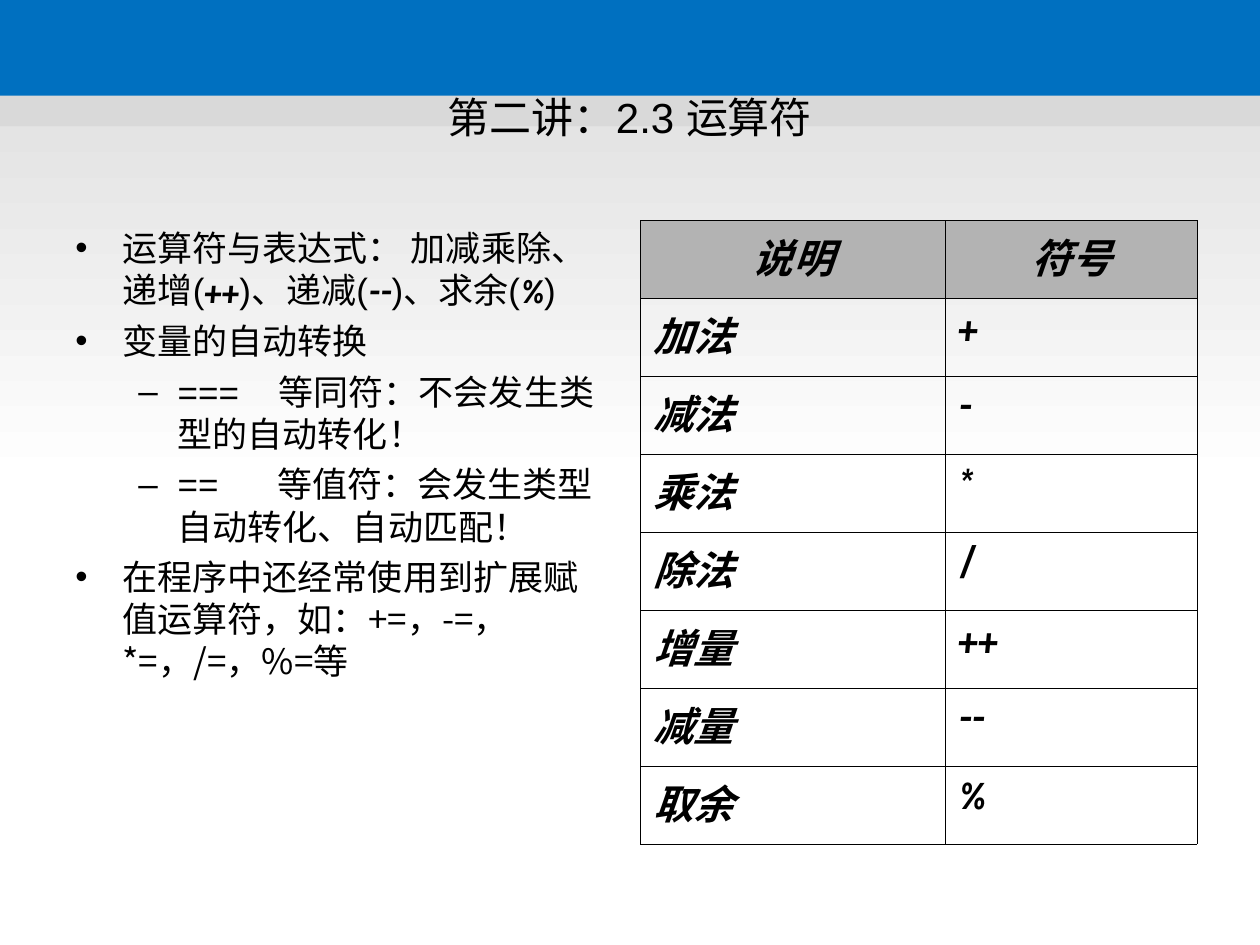
from lxml import etree
from pptx import Presentation
from pptx.dml.color import RGBColor
from pptx.enum import shapes, text
from pptx.oxml import ns
from pptx.util import Pt

BLACK = RGBColor(0, 0, 0)
WHITE = RGBColor(255, 255, 255)
BLUE = RGBColor(0x00, 0x70, 0xC0)
PALE = RGBColor(0xD9, 0xD9, 0xD9)
GRAY = RGBColor(0xB3, 0xB3, 0xB3)
CJK = "Noto Sans CJK JP"


def add_span(para, words, size, font="Arial", strong=False, spacing=0):
    span = para.add_run()
    span.text = words
    span.font.size = Pt(size)
    span.font.name = font
    span.font.bold = span.font.italic = strong
    span.font.color.rgb = BLACK
    properties = span.font._element
    latin = properties.find(ns.qn("a:latin"))
    east_asian = etree.Element(ns.qn("a:ea"), typeface=CJK)
    latin.addnext(east_asian)
    if spacing:
        properties.set("spc", str(spacing * 100))


def add_box(left, top, width, height, anchor):
    box = page.shapes.add_textbox(Pt(left), Pt(top), Pt(width), Pt(height))
    box.text_frame.word_wrap = True
    box.text_frame.vertical_anchor = anchor
    return box.text_frame


deck = Presentation()
deck.slide_width, deck.slide_height = Pt(720), Pt(540)
page = deck.slides.add_slide(deck.slide_layouts[6])
page.background.fill.solid()
page.background.fill.fore_color.rgb = WHITE

for top, height, color in [(0, 275.8, None), (54.7, 17.3, PALE), (0, 54.7, BLUE)]:
    band = page.shapes.add_shape(
        shapes.MSO_SHAPE.RECTANGLE, Pt(0), Pt(top), Pt(720), Pt(height))
    band.shadow.inherit = False
    band.line.fill.background()
    if color is None:
        band.fill.gradient()
        band.fill.gradient_angle = 270
        for stop, shade, position in zip(band.fill.gradient_stops, (PALE, WHITE), (0, 1)):
            stop.color.rgb = shade
            stop.position = position
    else:
        band.fill.solid()
        band.fill.fore_color.rgb = color

title = add_box(36, 21.6, 648, 90, text.MSO_ANCHOR.MIDDLE).paragraphs[0]
title.alignment = text.PP_ALIGN.CENTER
add_span(title, "第二讲：2.3 运算符", 24)

STRONG = {"font": "Karla", "strong": True}
points = [
    (0, [("运算符与表达式： 加减乘除、递增(", {}), ("++", STRONG), (")、递减(", {}),
         ("--", STRONG), (")、求余(", {}), ("%", STRONG), (")", {})]),
    (0, [("变量的自动转换", {})]),
    (1, [("===", {}), (" ", {"spacing": 17}), ("等同符：不会发生类型的自动转化！", {})]),
    (1, [("==", {}), (" ", {"spacing": 28}), ("等值符：会发生类型自动转化、自动匹配！", {})]),
    (0, [("在程序中还经常使用到扩展赋值运算符，如：+=，-=，*=，/=，%=等", {"font": CJK})]),
]
bullets = [("•", 27, -27), ("–", 58.5, -22.5)]
body = add_box(36, 126, 318, 356.4, text.MSO_ANCHOR.TOP)
for index, (level, spans) in enumerate(points):
    para = body.add_paragraph() if index else body.paragraphs[0]
    para.level = level
    para.space_before = Pt(5)
    for words, style in spans:
        add_span(para, words, 20, **style)
    mark, margin, indent = bullets[level]
    properties = para._p.get_or_add_pPr()
    properties.set("marL", str(Pt(margin)))
    properties.set("indent", str(Pt(indent)))
    color = etree.SubElement(properties, ns.qn("a:buClr"))
    etree.SubElement(color, ns.qn("a:srgbClr"), val=str(BLACK))
    etree.SubElement(properties, ns.qn("a:buFont"), typeface="Arial")
    etree.SubElement(properties, ns.qn("a:buChar"), char=mark)

operators = [("说明", "符号"), ("加法", "+"), ("减法", "-"), ("乘法", "*"),
             ("除法", "/"), ("增量", "++"), ("减量", "--"), ("取余", "%")]
table = page.shapes.add_table(
    len(operators), 2, Pt(366), Pt(126), Pt(318), Pt(356.4)).table
table.first_row = table.horz_banding = False
for column, width in zip(table.columns, (174.5, 143.5)):
    column.width = Pt(width)
for row, labels in enumerate(operators):
    table.rows[row].height = Pt(44.55)
    for column, label in enumerate(labels):
        cell = table.cell(row, column)
        para = cell.text_frame.paragraphs[0]
        para.space_before = Pt(5.8)
        add_span(para, label, 23, **STRONG)
        properties = cell._tc.get_or_add_tcPr()
        for side in ("lnL", "lnR", "lnT", "lnB"):
            border = etree.SubElement(properties, ns.qn("a:" + side), w=str(Pt(0.45)))
            paint = etree.SubElement(border, ns.qn("a:solidFill"))
            etree.SubElement(paint, ns.qn("a:srgbClr"), val=str(BLACK))
        if row == 0:
            para.alignment = text.PP_ALIGN.CENTER
            cell.fill.solid()
            cell.fill.fore_color.rgb = GRAY
        else:
            cell.fill.background()

deck.save("out.pptx")
